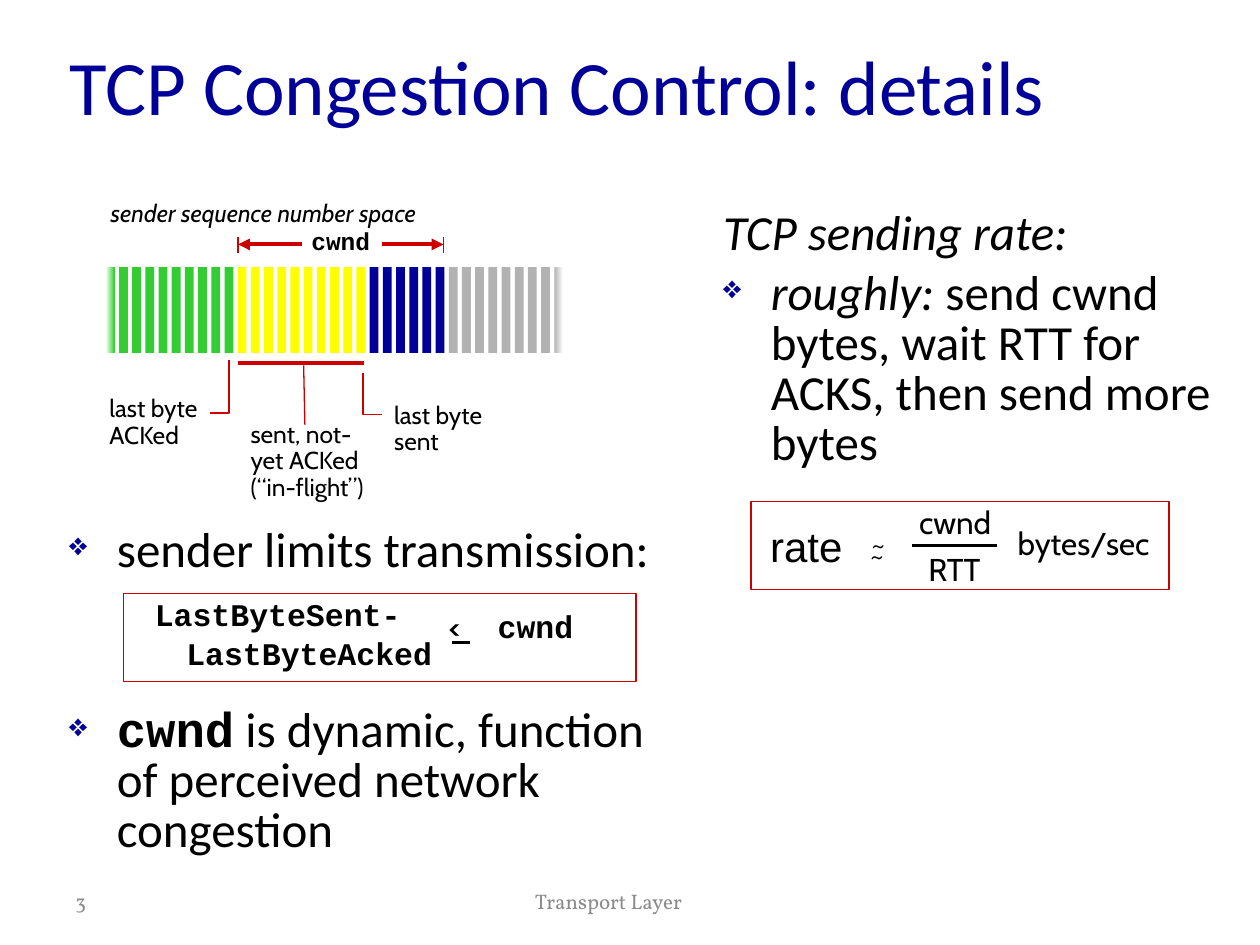
import pptx
import pptx.dml.color
import pptx.enum.shapes
import pptx.enum.text
import pptx.oxml.ns
import pptx.util
from lxml import etree

Inches = pptx.util.Inches
Pt = pptx.util.Pt
RGBColor = pptx.dml.color.RGBColor
PP_ALIGN = pptx.enum.text.PP_ALIGN
qn = pptx.oxml.ns.qn

NAVY = RGBColor(0x00, 0x00, 0x99)
BLACK = RGBColor(0x00, 0x00, 0x00)
WHITE = RGBColor(0xFF, 0xFF, 0xFF)
RED = RGBColor(0xCC, 0x00, 0x00)
GREEN = RGBColor(0x33, 0xCC, 0x33)
YELLOW = RGBColor(0xFF, 0xFF, 0x00)
GRAY = RGBColor(0xB2, 0xB2, 0xB2)
FOOTER_GRAY = RGBColor(0x8C, 0x8C, 0x8C)


def add_text_box(slide, left, top, width, height, wrap=True, middle=False, grow=True):
    box = slide.shapes.add_textbox(Inches(left), Inches(top), Inches(width), Inches(height))
    frame = box.text_frame
    frame.word_wrap = wrap
    if grow:
        frame.auto_size = pptx.enum.text.MSO_AUTO_SIZE.SHAPE_TO_FIT_TEXT
    if middle:
        frame.vertical_anchor = pptx.enum.text.MSO_ANCHOR.MIDDLE
    return frame


def add_run(paragraph, text, size, font, color=BLACK, bold=False, italic=False):
    run = paragraph.add_run()
    run.text = text
    run.font.size = Pt(size)
    run.font.name = font
    run.font.color.rgb = color
    run.font.bold = bold
    run.font.italic = italic


def add_label(slide, place, lines, size, font="Cabin", spacing=None, centered=False,
              wrap=False, middle=False, grow=True, **style):
    frame = add_text_box(slide, *place, wrap=wrap, middle=middle, grow=grow)
    for index, line in enumerate(lines):
        paragraph = frame.add_paragraph() if index else frame.paragraphs[0]
        paragraph.line_spacing = spacing
        if centered:
            paragraph.alignment = PP_ALIGN.CENTER
        add_run(paragraph, line, size, font, **style)


def set_bullet(paragraph):
    properties = paragraph._p.get_or_add_pPr()
    properties.set("marL", str(Inches(0.38)))
    properties.set("indent", str(Inches(-0.38)))
    color = etree.SubElement(properties, qn("a:buClr"))
    etree.SubElement(color, qn("a:srgbClr"), val=str(NAVY))
    etree.SubElement(properties, qn("a:buSzPct"), val="65000")
    etree.SubElement(properties, qn("a:buChar"), char="❖")


def add_body(slide, place, paragraphs):
    frame = add_text_box(slide, *place, grow=False)
    for index, (bulleted, runs) in enumerate(paragraphs):
        paragraph = frame.add_paragraph() if index else frame.paragraphs[0]
        paragraph.line_spacing = 0.85
        if index:
            paragraph.space_before = Pt(5.6)
        if bulleted:
            set_bullet(paragraph)
        for text, style in runs:
            add_run(paragraph, text, 28, **{"font": "Calibri", **style})


def add_line(slide, start, end, color, width, arrow=False):
    line = slide.shapes.add_connector(
        pptx.enum.shapes.MSO_CONNECTOR.STRAIGHT, *map(Inches, start + end))
    line.line.color.rgb = color
    line.line.width = Pt(width)
    if arrow:
        etree.SubElement(line.line._get_or_add_ln(), qn("a:tailEnd"), type="triangle")
    etree.SubElement(line._element.spPr, qn("a:effectLst"))


def add_elbow(slide, start, corner, end):
    builder = slide.shapes.build_freeform(*map(Inches, start))
    builder.add_line_segments(
        [tuple(map(Inches, point)) for point in (corner, end)], close=False)
    style_outline(builder.convert_to_shape())


def style_outline(shape):
    shape.shadow.inherit = False
    shape.fill.background()
    shape.line.color.rgb = RED
    shape.line.width = Pt(1)


def add_rectangle(slide, left, top, width, height):
    return slide.shapes.add_shape(
        pptx.enum.shapes.MSO_SHAPE.RECTANGLE,
        Inches(left), Inches(top), Inches(width), Inches(height))


def add_byte_bar(slide, left, colors):
    bar = add_rectangle(slide, left, 2.12, 0.07, 0.68)
    bar.shadow.inherit = False
    bar.line.fill.background()
    if len(colors) == 1:
        bar.fill.solid()
        bar.fill.fore_color.rgb = colors[0]
    else:
        bar.fill.gradient()
        bar.fill.gradient_angle = 0
        for stop, color in zip(bar.fill.gradient_stops, colors):
            stop.color.rgb = color


def add_sequence_space(slide):
    bars = [(WHITE, GREEN)] + [(GREEN,)] * 9 + [(YELLOW,)] * 10
    bars += [(NAVY,)] * 6 + [(GRAY,)] * 8 + [(GRAY, WHITE)]
    pitch = (4.4 - 0.84) / (len(bars) - 1)
    for index, colors in enumerate(bars):
        add_byte_bar(slide, 0.84 + index * pitch, colors)

    add_line(slide, (1.89, 2.88), (2.89, 2.88), RED, 2.25)
    add_line(slide, (2.41, 2.9), (2.42, 3.37), RED, 0.75)
    add_elbow(slide, (1.82, 2.86), (1.82, 3.28), (1.67, 3.28))
    add_elbow(slide, (2.88, 2.96), (2.88, 3.29), (3.03, 3.29))
    for start, end in ((3.03, 3.52), (2.4, 1.89)):
        add_line(slide, (start, 1.94), (end, 1.94), RED, 2.25, arrow=True)
        add_line(slide, (end, 1.88), (end, 2.01), RED, 0.75)

    add_label(slide, (0.78, 1.52, 2.98, 0.33), ["sender sequence number space"], 14, italic=True)
    add_label(slide, (0.77, 3.1, 0.93, 0.52), ["last byte", "ACKed"], 14, spacing=0.9)
    add_label(slide, (1.89, 3.3, 1.17, 0.73), ["sent, not-yet ACKed", "(“in-flight”)"], 14,
              spacing=0.9, wrap=True)
    add_label(slide, (3.03, 3.15, 1.17, 0.52), ["last byte sent"], 14, spacing=0.9, wrap=True)
    add_label(slide, (2.37, 1.77, 0.67, 0.31), ["cwnd"], 14, "Courier New", 0.9,
              centered=True, bold=True)


def add_window_limit(slide):
    frame = add_text_box(slide, 1.13, 4.72, 3.08, 0.67)
    first = frame.paragraphs[0]
    second = frame.add_paragraph()
    second.space_before = Pt(3.6)
    second._p.get_or_add_pPr().set("marL", str(Inches(0.25)))
    for paragraph, text in ((first, "LastByteSent-"), (second, "LastByteAcked")):
        paragraph.line_spacing = 0.85
        add_run(paragraph, text, 18, "Courier New", bold=True)
    add_label(slide, (3.42, 4.8, 0.38, 0.37), ["<"], 16, centered=True, bold=True)
    add_line(slide, (3.59, 5.1), (3.73, 5.1), BLACK, 1.5)
    add_label(slide, (3.85, 4.77, 0.8, 0.4), ["cwnd"], 18, "Courier New",
              centered=True, bold=True)
    style_outline(add_rectangle(slide, 0.98, 4.71, 4.07, 0.7))


def add_rate_formula(slide):
    add_label(slide, (6.01, 4.08, 0.78, 0.5), ["rate"], 24, "Arial", centered=True)
    for left, top in ((6.46, 4.1), (6.45, 4.19)):
        add_label(slide, (left, top, 1.02, 0.4), ["~"], 18, centered=True, wrap=True)
    add_label(slide, (7.19, 3.94, 0.78, 0.4), ["cwnd"], 18, centered=True)
    add_label(slide, (7.25, 4.32, 0.65, 0.4), ["RTT"], 18, centered=True)
    add_line(slide, (7.24, 4.33), (7.91, 4.33), BLACK, 1.5)
    add_label(slide, (7.85, 4.11, 1.5, 0.4), ["bytes/sec"], 18, centered=True,
              wrap=True, grow=False)
    style_outline(add_rectangle(slide, 5.96, 3.98, 3.32, 0.7))


def main():
    presentation = pptx.Presentation()
    presentation.slide_width = Inches(10)
    presentation.slide_height = Inches(7.5)
    slide = presentation.slides.add_slide(presentation.slide_layouts[6])

    add_label(slide, (0.45, 0.25, 8.5, 0.84), ["TCP Congestion Control: details"], 44,
              "Calibri", wrap=True, middle=True, grow=False, color=NAVY)
    add_body(slide, (0.45, 4.14, 4.96, 0.5), [(True, [("sender limits transmission:", {})])])
    add_body(slide, (0.45, 5.57, 4.96, 1.3), [
        (True, [("cwnd", {"font": "Courier New", "bold": True}),
                (" is dynamic, function of perceived network congestion", {})])])
    add_body(slide, (5.64, 1.62, 4.17, 2.68), [
        (False, [("TCP sending rate:", {"italic": True})]),
        (True, [("roughly:", {"italic": True}),
                (" send cwnd bytes, wait RTT for ACKS, then send more bytes", {})])])
    add_sequence_space(slide)
    add_window_limit(slide)
    add_rate_formula(slide)
    add_label(slide, (0.5, 6.95, 1.17, 0.4), ["3"], 12, "Vollkorn", wrap=True,
              middle=True, grow=False, color=FOOTER_GRAY)
    add_label(slide, (1.83, 6.95, 6, 0.4), ["Transport Layer"], 12, "Vollkorn", wrap=True,
              centered=True, middle=True, grow=False, color=FOOTER_GRAY)
    presentation.save("out.pptx")


if __name__ == "__main__":
    main()
